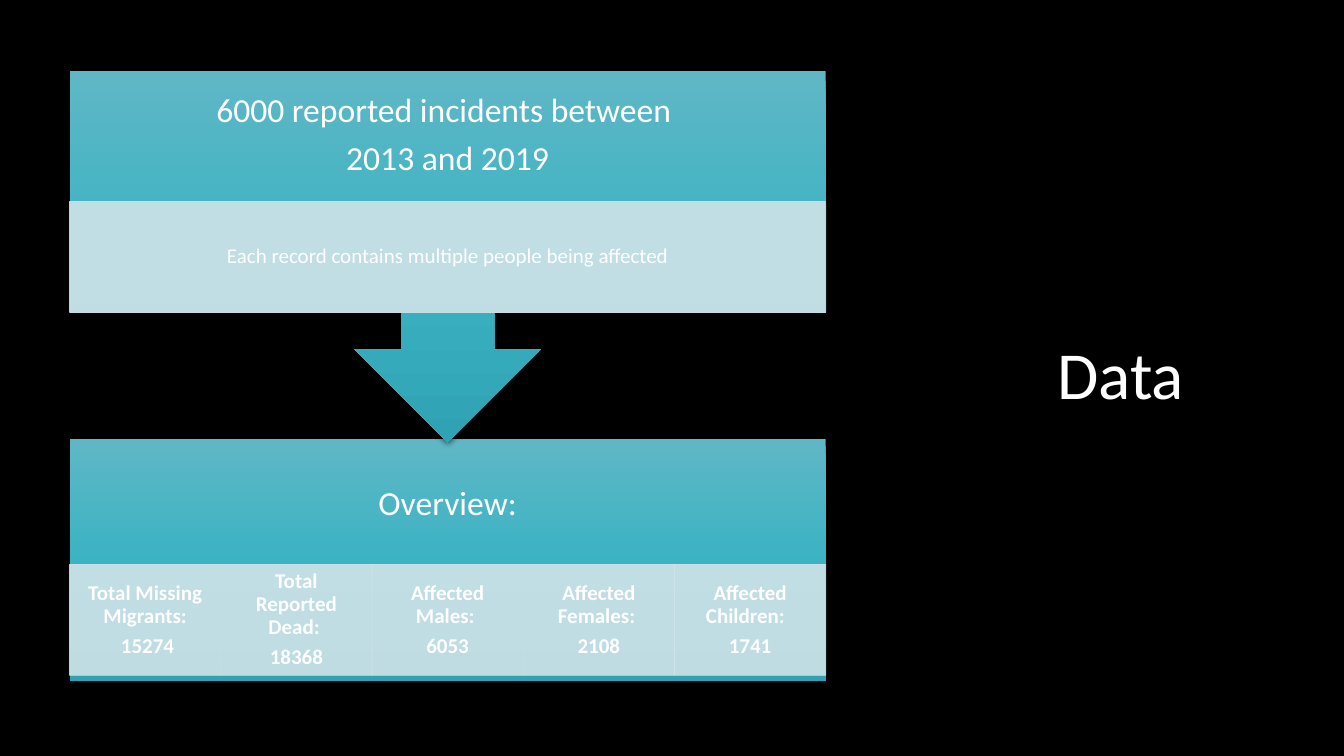
from lxml import etree
from pptx import Presentation
from pptx.dml.color import RGBColor
from pptx.enum.shapes import MSO_SHAPE
from pptx.enum.text import MSO_ANCHOR, PP_ALIGN
from pptx.oxml.ns import qn
from pptx.util import Inches, Pt

RECTANGLE = MSO_SHAPE.RECTANGLE
CALLOUT = MSO_SHAPE.DOWN_ARROW_CALLOUT
MIDDLE = MSO_ANCHOR.MIDDLE
CENTER = PP_ALIGN.CENTER

COLORS = {
    "black": "000000",
    "white": "FFFFFF",
    "pale": "CFE3E8",
    "teal_light": "5FB7C5",
    "teal": "3BB3C3",
    "teal_dark": "2FA3B3",
}
TEAL_STOPS = ((0, "teal_light"), (50, "teal"), (100, "teal_dark"))
STEP_SHADOW = {"alpha": 63, "blur": 4.5, "distance": 1.5, "angle": 90}
PANEL_SHADOW = {"alpha": 40, "blur": 4, "distance": 3, "angle": 180}

FLOW_LEFT, FLOW_WIDTH = 0.69, 7.5
DETAIL_HEIGHT = 1.1
STEP_INSETS = (0.19, 0.19, 0.19, 1.3)
DETAIL_INSETS = (0.12, 0.02, 0.12, 0.02)

TOTALS = (
    ("Total Missing Migrants:", " 15274"),
    ("Total Reported Dead: ", "18368"),
    ("Affected Males: ", "6053"),
    ("Affected Females: ", "2108"),
    ("Affected Children:  ", "1741"),
)


def rgb(name):
    return RGBColor.from_string(COLORS[name])


def apply(target, values):
    for attribute, value in values.items():
        setattr(target, attribute, value)


def add_color(parent, name, alpha=100):
    color = etree.SubElement(parent, qn("a:srgbClr"), val=COLORS[name])
    if alpha < 100:
        etree.SubElement(color, qn("a:alpha"), val=str(alpha * 1000))


def paint(fill_format, holder, name, alpha=100):
    fill_format.solid()
    fill_format.fore_color.rgb = rgb(name)
    solid = holder.find(qn("a:solidFill"))
    solid.clear()
    add_color(solid, name, alpha)


def add_block(slide, kind, box):
    block = slide.shapes.add_shape(kind, *map(Inches, box))
    block.line.fill.background()
    block.shadow.inherit = False
    return block


def cast_shadow(block, shadow):
    effects = block._element.spPr.find(qn("a:effectLst"))
    outer = etree.SubElement(
        effects, qn("a:outerShdw"),
        blurRad=str(Pt(shadow["blur"])), dist=str(Pt(shadow["distance"])),
        dir=str(shadow["angle"] * 60000), algn="ctr", rotWithShape="0")
    add_color(outer, "black", shadow["alpha"])


def write(block, lines, size, insets, bold=False):
    frame = block.text_frame
    left, top, right, bottom = map(Inches, insets)
    apply(frame, {
        "word_wrap": True, "vertical_anchor": MIDDLE,
        "margin_left": left, "margin_top": top,
        "margin_right": right, "margin_bottom": bottom,
    })
    frame.text = "\n".join(lines)
    for paragraph in frame.paragraphs:
        apply(paragraph, {"alignment": CENTER, "line_spacing": 0.9,
                          "space_before": Pt(0), "space_after": Pt(0.35 * size)})
        apply(paragraph.font, {"name": "Calibri", "size": Pt(size), "bold": bold})
        paragraph.font.color.rgb = rgb("white")


def add_panel(slide, box, alpha=100):
    panel = add_block(slide, RECTANGLE, box)
    paint(panel.fill, panel._element.spPr, "black", alpha)
    return panel


def add_step(slide, kind, top, height, lines):
    step = add_block(slide, kind, (FLOW_LEFT, top, FLOW_WIDTH, height))
    step.fill.gradient()
    step.fill.gradient_angle = 270
    stops = step._element.spPr.find(qn("a:gradFill")).find(qn("a:gsLst"))
    stops.clear()
    for position, name in TEAL_STOPS:
        stop = etree.SubElement(stops, qn("a:gs"), pos=str(position * 1000))
        add_color(stop, name)
    cast_shadow(step, STEP_SHADOW)
    write(step, lines, 24, STEP_INSETS)


def add_details(slide, top, details, bold=False):
    width = FLOW_WIDTH / len(details)
    for column, lines in enumerate(details):
        detail = add_block(slide, RECTANGLE, (
            FLOW_LEFT + column * width, top, width, DETAIL_HEIGHT))
        properties = detail._element.spPr
        paint(detail.fill, properties, "pale", 90)
        paint(detail.line.fill, properties.find(qn("a:ln")), "pale", 90)
        detail.line.width = Pt(0.5)
        write(detail, lines, 15, DETAIL_INSETS, bold)


def place_title(slide, text, box):
    title = slide.shapes.title
    slide.shapes._spTree.append(title._element)
    apply(title, dict(zip(("left", "top", "width", "height"), map(Inches, box))))
    write(title, [text], 48, (0.1, 0.05, 0.1, 0.05))
    title.text_frame.paragraphs[0].space_after = Pt(0)


def main():
    deck = Presentation()
    apply(deck, {"slide_width": Inches(13.33), "slide_height": Inches(7.5)})
    slide = deck.slides.add_slide(deck.slide_layouts[5])
    slide.background.fill.solid()
    slide.background.fill.fore_color.rgb = rgb("black")

    add_panel(slide, (0.01, 0, 8.88, 7.5), 20)
    cast_shadow(add_panel(slide, (8.89, 0, 4.44, 7.5)), PANEL_SHADOW)
    place_title(slide, "Data", (9.51, 1.11, 3.21, 5.28))

    add_step(slide, RECTANGLE, 4.36, 2.4, ["Overview:"])
    add_details(slide, 5.6, TOTALS, bold=True)
    add_step(slide, CALLOUT, 0.7, 3.69,
             ["6000 reported incidents between ", "2013 and 2019"])
    add_details(slide, 2, [["Each record contains multiple people being affected"]])

    deck.save("out.pptx")


if __name__ == "__main__":
    main()
